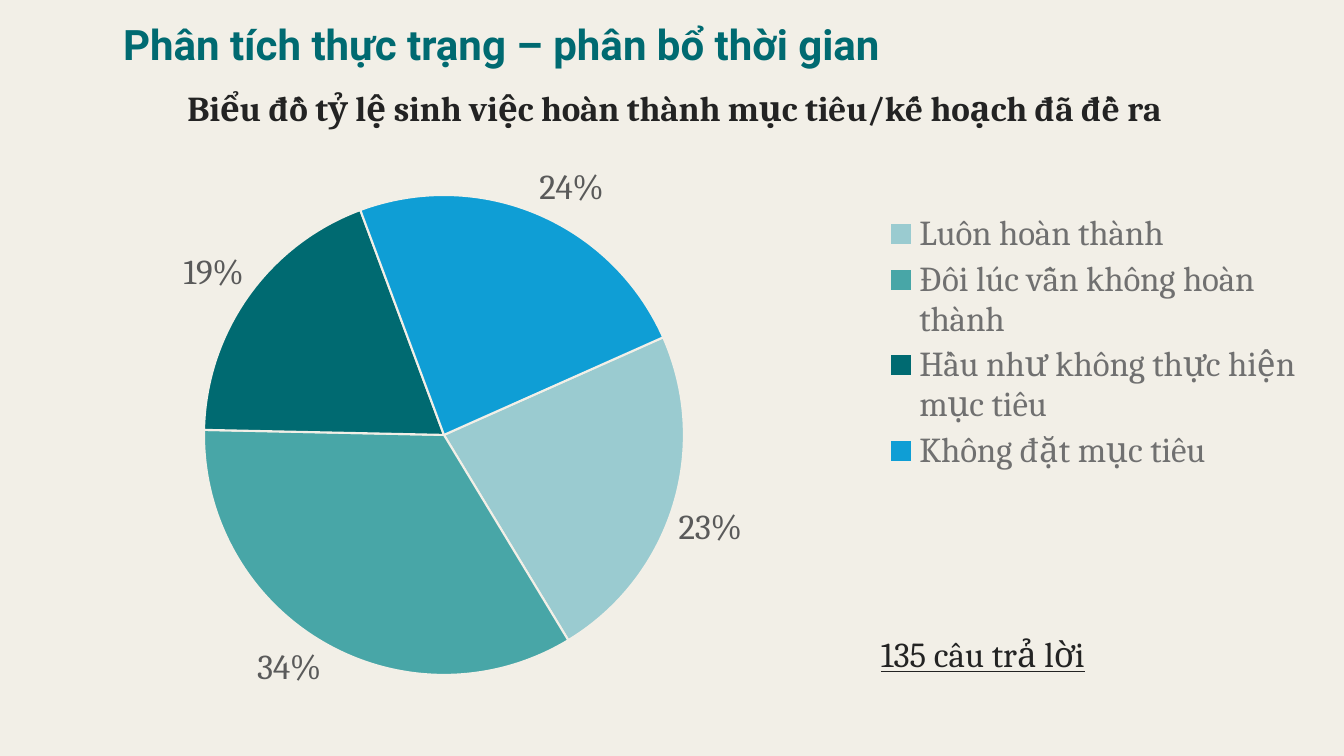
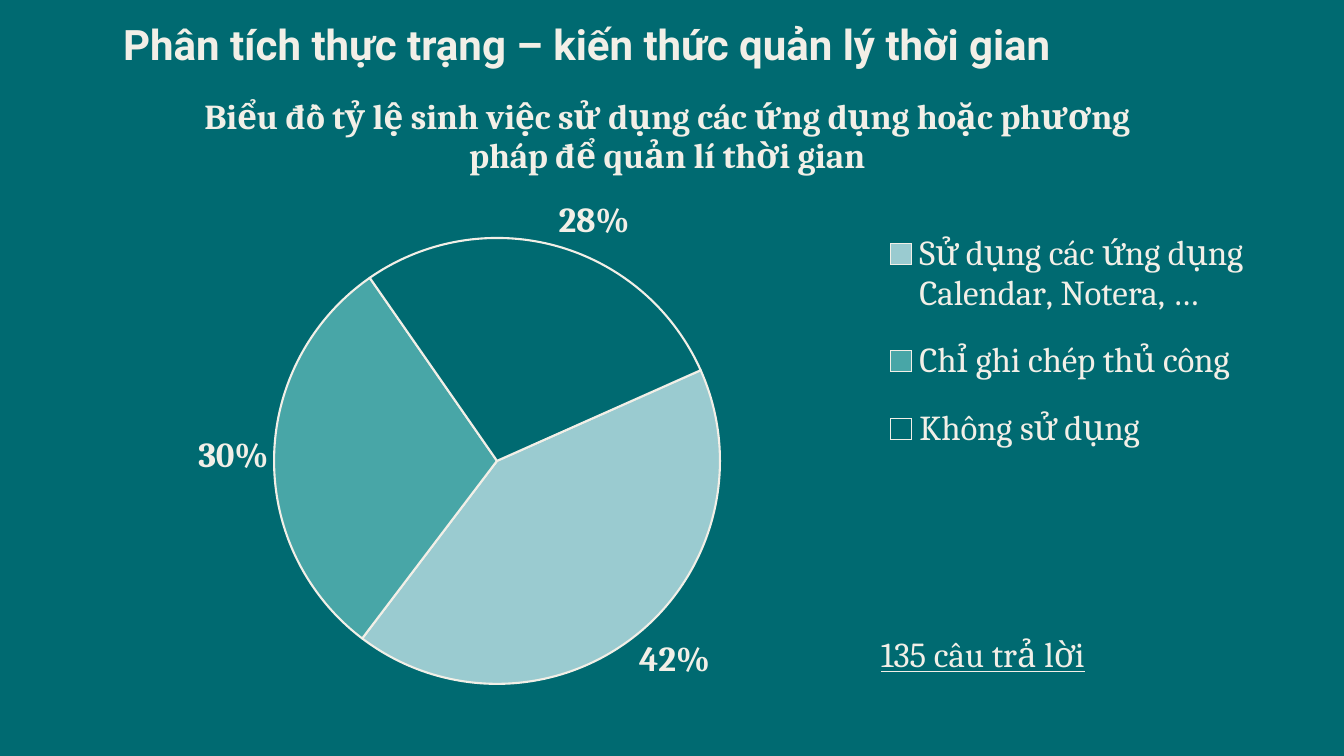
from pptx import Presentation
from pptx.chart.data import CategoryChartData
from pptx.dml.color import RGBColor
from pptx.enum.chart import XL_CHART_TYPE, XL_LABEL_POSITION, XL_LEGEND_POSITION
from pptx.enum.text import MSO_ANCHOR, MSO_AUTO_SIZE, PP_ALIGN
from pptx.oxml import parse_xml
from pptx.oxml.ns import nsdecls, qn
from pptx.util import Pt

# Shared look
WIDE, HIGH = 1344, 756
SCALE = 914400 / 100.8
CREAM, TEAL, INK = "F2EFE7", "006A71", "232323"
SLICES = ["9ACBD0", "48A6A7", TEAL, "0F9ED5"]
HEAD, BODY = "Roboto", "Cambria"
TITLE = (113, 13, 1083, 61)
NOTE = (871, 628, 238, 52)

DECK = [
    dict(
        back=CREAM, head=TEAL, text=INK, key="707070", label="5A5A5A", bold=False,
        title="Phân tích thực trạng – phân bổ thời gian",
        name="Biểu đồ tỷ lệ sinh việc hoàn thành mục tiêu/kế hoạch đã đề ra",
        data=[("Luôn hoàn thành", 23), ("Đôi lúc vẫn không hoàn thành", 34),
              ("Hầu như không thực hiện mục tiêu", 19), ("Không đặt mục tiêu", 24)],
        box=(27, 76, 1289, 642), top=(154, 4), pie=(177, 119, 480, 480),
        legend=(855, 132, 422, 269),
    ),
    dict(
        back=TEAL, head=CREAM, text=CREAM, key=CREAM, label=CREAM, bold=True,
        title="Phân tích thực trạng – kiến thức quản lý thời gian",
        name="Biểu đồ tỷ lệ sinh việc sử dụng các ứng dụng hoặc phương "
             "pháp để quản lí thời gian",
        data=[("Sử dụng các ứng dụng Calendar, Notera, …", 42),
              ("Chỉ ghi chép thủ công", 30), ("Không sử dụng", 28)],
        box=(54, 75, 1225, 642), top=(144, 12), pie=(220, 163, 446, 446),
        legend=(818, 132, 390, 269),
    ),
]


def px(n):
    return round(n * SCALE)


def color(code):
    return RGBColor.from_string(code)


def style(font, size, code, face=BODY, bold=False):
    font.size, font.name, font.bold = Pt(size), face, bold
    font.color.rgb = color(code)


def layout(node, box, area, index):
    """Fix a chart part at a px offset within the chart area."""
    for old in node.findall(qn("c:layout")):
        node.remove(old)
    ratios = [n / area[2 + i % 2] for i, n in enumerate(box)]
    inner = '<c:layoutTarget val="inner"/>' if node.tag == qn("c:plotArea") else ""
    modes = '<c:xMode val="edge"/><c:yMode val="edge"/>'
    parts = "".join(f'<c:{k} val="{v:.4f}"/>' for k, v in zip("xywh", ratios))
    node.insert(index, parse_xml(
        f'<c:layout {nsdecls("c")}><c:manualLayout>{inner}{modes}{parts}'
        "</c:manualLayout></c:layout>"))


def add_title(slide, box, text, code):
    shape = slide.shapes.title
    shape.left, shape.top, shape.width, shape.height = map(px, box)
    # Rounded outline, which also insets the text
    shape._element.spPr.append(parse_xml(
        f'<a:prstGeom {nsdecls("a")} prst="roundRect"><a:avLst>'
        '<a:gd name="adj" fmla="val 38300"/></a:avLst></a:prstGeom>'))
    frame = shape.text_frame
    frame.auto_size = MSO_AUTO_SIZE.NONE
    frame.vertical_anchor = MSO_ANCHOR.MIDDLE
    line = frame.paragraphs[0]
    line.alignment = PP_ALIGN.LEFT
    run = line.add_run()
    run.text = text
    style(run.font, 30, code, HEAD, True)


def add_note(slide, box, text, code):
    frame = slide.shapes.add_textbox(*map(px, box)).text_frame
    frame.word_wrap = True
    run = frame.paragraphs[0].add_run()
    run.text = text
    style(run.font, 25, code)
    run.font.underline = True


def add_pie(slide, box, page):
    data = CategoryChartData()
    names, values = zip(*page["data"])
    data.categories = names
    data.add_series("Series 1", values)
    chart = slide.shapes.add_chart(XL_CHART_TYPE.PIE, *map(px, box), data).chart
    style(chart.font, 10, INK)

    # Heading
    chart.has_title = True
    run = chart.chart_title.text_frame.paragraphs[0].add_run()
    run.text = page["name"]
    style(run.font, 25, page["text"], bold=True)
    layout(chart.chart_title._element, page["top"], box, 1)

    # Legend
    chart.has_legend = True
    chart.legend.position = XL_LEGEND_POSITION.CORNER
    chart.legend.include_in_layout = False
    style(chart.legend.font, 25, page["key"])
    layout(chart.legend._element, page["legend"], box, 1)

    # Slices
    plot = chart.plots[0]
    plot.vary_by_categories = True
    series = plot.series[0]
    for i, code in zip(range(len(values)), SLICES):
        form = series.points[i].format
        form.fill.solid()
        form.fill.fore_color.rgb = color(code)
        form.line.color.rgb = color(CREAM)
        form.line.width = Pt(1.5)

    # Labels
    labels = series.data_labels
    labels.show_value, labels.show_percentage = False, True
    labels.number_format, labels.number_format_is_linked = "0%", False
    labels.position = XL_LABEL_POSITION.OUTSIDE_END
    style(labels.font, 25, page["label"], bold=page["bold"])

    # Start angle, pie place and clear ground
    root = plot._element
    for old in root.findall(qn("c:firstSliceAng")):
        root.remove(old)
    root.append(parse_xml(f'<c:firstSliceAng {nsdecls("c")} val="66"/>'))
    layout(root.getparent(), page["pie"], box, 0)
    chart._chartSpace.find(qn("c:chart")).addnext(parse_xml(
        f'<c:spPr {nsdecls("c", "a")}><a:noFill/><a:ln><a:noFill/></a:ln></c:spPr>'))


def add_page(deck, page):
    slide = deck.slides.add_slide(deck.slide_layouts[5])
    fill = slide.background.fill
    fill.solid()
    fill.fore_color.rgb = color(page["back"])
    add_title(slide, TITLE, page["title"], page["head"])
    add_pie(slide, page["box"], page)
    add_note(slide, NOTE, "135 câu trả lời", page["text"])


def main():
    deck = Presentation()
    deck.slide_width, deck.slide_height = px(WIDE), px(HIGH)
    for page in DECK:
        add_page(deck, page)
    deck.save("out.pptx")


if __name__ == "__main__":
    main()
